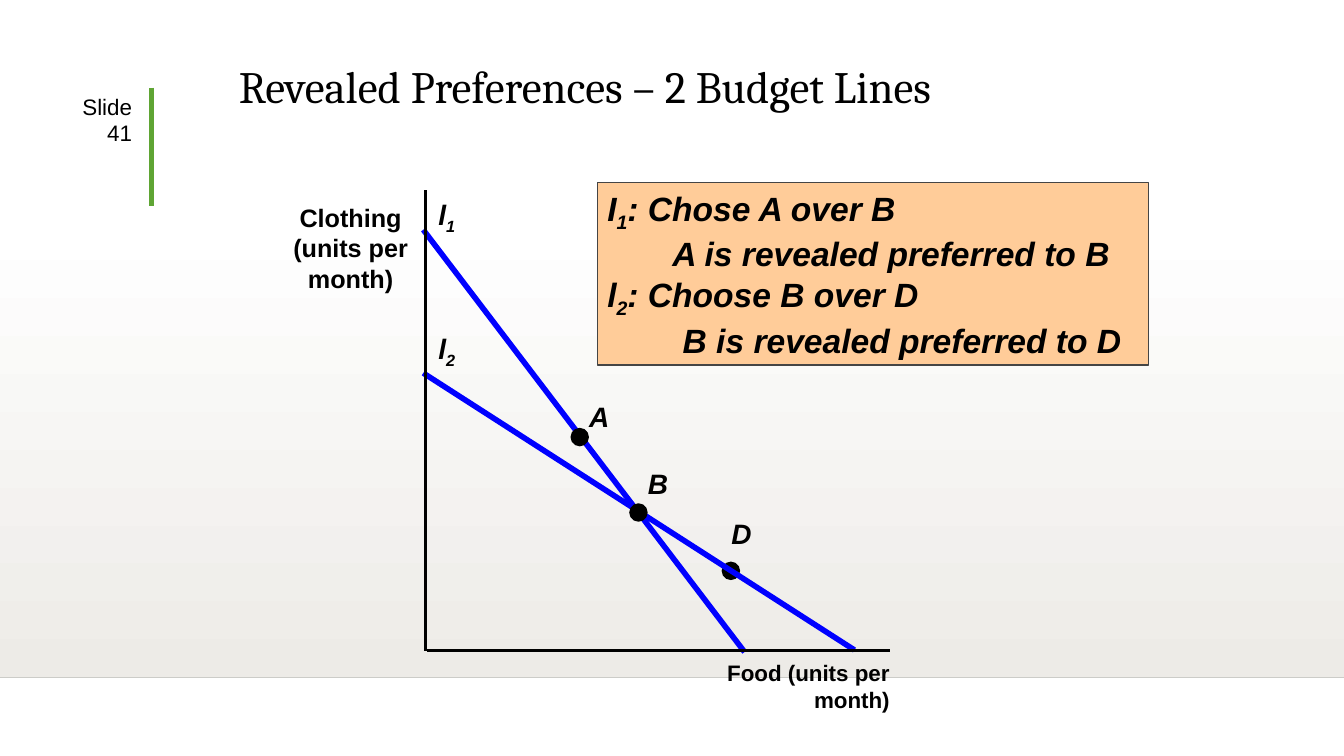
from pptx import Presentation
from pptx.dml.color import RGBColor
from pptx.enum.shapes import MSO_CONNECTOR, MSO_SHAPE
from pptx.enum.text import MSO_ANCHOR, MSO_AUTO_SIZE, PP_ALIGN
from pptx.oxml.ns import qn
from pptx.util import Cm, Pt
from lxml import etree

STRAIGHT = MSO_CONNECTOR.STRAIGHT
RECTANGLE, OVAL = MSO_SHAPE.RECTANGLE, MSO_SHAPE.OVAL
TOP, BOTTOM = MSO_ANCHOR.TOP, MSO_ANCHOR.BOTTOM
LEFT, CENTER, RIGHT = PP_ALIGN.LEFT, PP_ALIGN.CENTER, PP_ALIGN.RIGHT
FIT_SHAPE, NO_FIT = MSO_AUTO_SIZE.SHAPE_TO_FIT_TEXT, MSO_AUTO_SIZE.NONE

COLORS = {
    "black": "000000", "white": "FFFFFF", "panel": "EDEBE7", "rule": "CCCCC8",
    "green": "5FA534", "budget": "0000FF", "note": "FFCC99", "border": "454545",
}
DOT = 0.43


def color(name):
    return RGBColor.from_string(COLORS[name])


def write(frame, text, size=20, font="Arial", bold=False, italic=False, align=LEFT,
          anchor=TOP, wrap=False, spacing=None, indents=()):
    """Fill a frame; the character after "_" becomes a subscript."""
    frame.word_wrap = wrap
    frame.auto_size = NO_FIT if wrap else FIT_SHAPE
    frame.vertical_anchor = anchor
    for index, line in enumerate(text.split("\n")):
        paragraph = frame.paragraphs[0] if index == 0 else frame.add_paragraph()
        paragraph.alignment = align
        paragraph.line_spacing = spacing
        if indents:
            paragraph._p.get_or_add_pPr().set("marL", str(Cm(indents[index])))
        base, _, rest = line.partition("_")
        for part, lowered in ((base, False), (rest[:1], True), (rest[1:], False)):
            if not part:
                continue
            run = paragraph.add_run()
            run.text = part
            run.font.size, run.font.name = Pt(size), font
            run.font.bold, run.font.italic = bold, italic
            run.font.color.rgb = color("black")
            if lowered:
                run._r.get_or_add_rPr().set("baseline", "-25000")


class GraphSlide:
    def __init__(self, presentation):
        self.shapes = presentation.slides.add_slide(presentation.slide_layouts[6]).shapes

    def text(self, text, left, top, width, height, **style):
        box = self.shapes.add_textbox(Cm(left), Cm(top), Cm(width), Cm(height))
        write(box.text_frame, text, **style)

    def label(self, text, left, top, width=1.02):
        self.text(text, left, top, width, 1.09, bold=True, italic=True)

    def shape(self, kind, left, top, width, height, fill, border=None):
        shape = self.shapes.add_shape(kind, Cm(left), Cm(top), Cm(width), Cm(height))
        shape.shadow.inherit = False
        shape.fill.solid()
        shape.fill.fore_color.rgb = color(fill)
        if border:
            shape.line.color.rgb = color(border)
            shape.line.width = Pt(1)
        else:
            shape.line.fill.background()
        return shape

    def dot(self, left, top):
        self.shape(OVAL, left, top, DOT, DOT, "black", "black")

    def line(self, x1, y1, x2, y2, line_color, width):
        line = self.shapes.add_connector(STRAIGHT, Cm(x1), Cm(y1), Cm(x2), Cm(y2))
        line.line.color.rgb = color(line_color)
        line.line.width = Pt(width)
        etree.SubElement(line._element.spPr, qn("a:effectLst"))


def main():
    presentation = Presentation()
    presentation.slide_width, presentation.slide_height = Cm(33.88), Cm(19.05)
    slide = GraphSlide(presentation)

    # Background and title
    panel = slide.shape(RECTANGLE, 0, 5.59, 33.87, 11.48, "panel")
    panel.fill.gradient()
    panel.fill.gradient_angle = 270
    for stop, name in zip(panel.fill.gradient_stops, ("white", "panel")):
        stop.color.rgb = color(name)
    slide.line(0, 17.07, 33.87, 17.07, "rule", 1)
    slide.line(3.82, 2.21, 3.82, 5.18, "green", 3)
    slide.text("Revealed Preferences – 2 Budget Lines", 5.77, 0.81, 22.17, 2.16,
               size=32, font="Cambria", anchor=BOTTOM, wrap=True, spacing=0.9)
    slide.text("Slide 41", 1.32, 2.21, 2.26, 1.4, size=16, align=RIGHT, wrap=True)

    # Budget lines; point D lies beneath its line
    slide.dot(18.21, 14.17)
    slide.line(10.67, 5.79, 18.77, 16.43, "budget", 4)
    slide.line(10.67, 9.4, 21.54, 16.38, "budget", 4)
    slide.label("l_1", 10.8, 4.85, 0.94)
    slide.label("l_2", 10.8, 8.23, 0.94)

    # Chosen points
    slide.dot(15.88, 12.7)
    slide.dot(14.4, 10.8)
    slide.label("A", 14.6, 9.93)
    slide.label("B", 16.08, 11.63)
    slide.label("D", 18.19, 12.9)

    # Conclusions
    note = slide.shape(RECTANGLE, 15.06, 4.6, 13.89, 4.6, "note", "border")
    write(note.text_frame,
          "I_1: Chose A over B\nA is revealed preferred to B\n"
          "l_2: Choose B over D\nB is revealed preferred to D",
          size=24, bold=True, italic=True, wrap=True, indents=(0, 1.64, 0, 1.9))

    # Axes
    slide.line(10.72, 4.8, 10.72, 16.41, "black", 2)
    slide.line(10.77, 16.39, 22.43, 16.39, "black", 2)
    slide.text("Food (units per month)", 16.03, 16.48, 6.65, 0.91,
               size=16, bold=True, align=RIGHT)
    slide.text("Clothing\n(units per\nmonth)", 7.14, 4.98, 3.4, 2.54,
               size=18, bold=True, align=CENTER)

    presentation.save("out.pptx")


if __name__ == "__main__":
    main()
